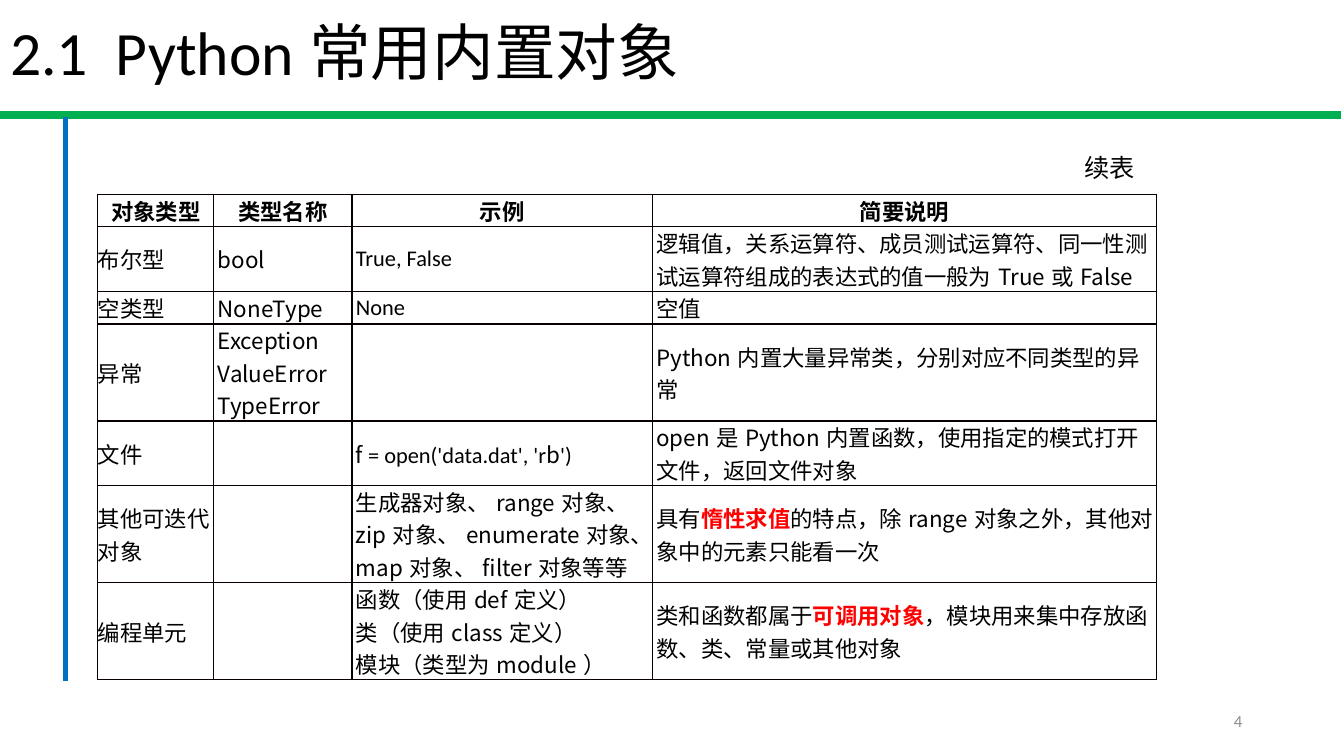
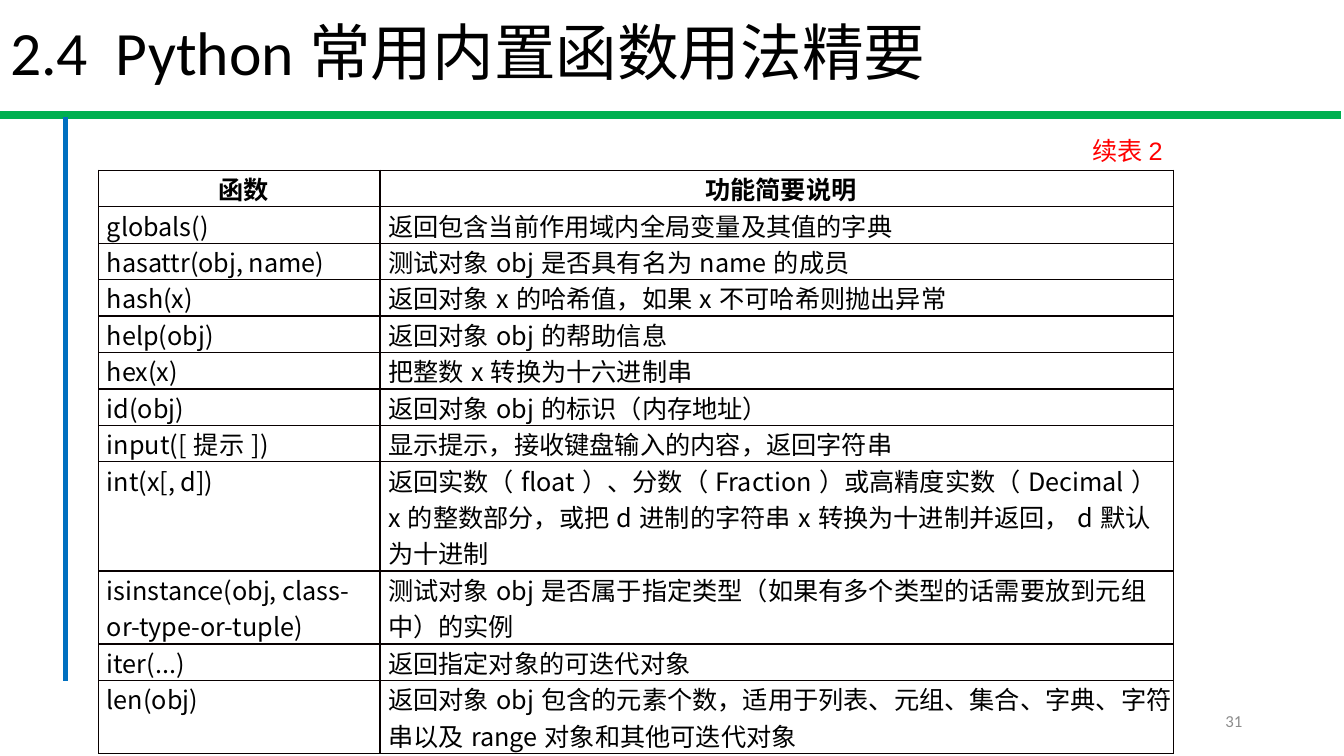
from lxml.etree import SubElement
from pptx import Presentation
from pptx.dml.color import RGBColor
from pptx.enum.shapes import MSO_CONNECTOR
from pptx.enum.text import MSO_ANCHOR, PP_ALIGN
from pptx.oxml.ns import qn
from pptx.util import Inches, Pt

BLACK, RED, GREEN, BLUE, GRAY = "000000", "FF0000", "00B050", "0070C0", "8C8C8C"
BORDER = "080000"
LATIN, CHINESE, CAPTION = "Calibri", "Noto Sans CJK SC", "Arial"


def color(value):
    return RGBColor.from_string(value)


class Lesson:
    def __init__(self):
        self.deck = Presentation()
        self.deck.slide_width, self.deck.slide_height = Inches(13.33), Inches(7.5)
        self.page = None

    def across(self, percent):
        return round(self.deck.slide_width * percent / 100)

    def down(self, percent):
        return round(self.deck.slide_height * percent / 100)

    def area(self, left, top, width, height):
        return self.across(left), self.down(top), self.across(width), self.down(height)

    def start(self, title, number):
        self.page = self.deck.slides.add_slide(self.deck.slide_layouts[5])
        if number == FIRST_NUMBER:
            self.master_line((0, 15.2), (99.77, 15.2), GREEN, 5.25)
            self.master_line((4.88, 15.47), (4.88, 90.13), BLUE, 3.75)
        box = self.page.shapes.title
        box.left, box.top, box.width, box.height = self.area(0, 0, 99.77, 14.67)
        box.text_frame.text = title
        box.text_frame.vertical_anchor = MSO_ANCHOR.MIDDLE
        para = box.text_frame.paragraphs[0]
        para.alignment, para.line_spacing = PP_ALIGN.LEFT, 0.9
        self.style(para.runs[0], 44, LATIN)
        self.label(str(number), (70.67, 92.67, 22.51, 5.33), 12, LATIN, GRAY)

    def master_line(self, start, end, shade, weight):
        line = self.page.shapes.add_connector(
            MSO_CONNECTOR.STRAIGHT,
            self.across(start[0]), self.down(start[1]),
            self.across(end[0]), self.down(end[1]))
        line.line.color.rgb, line.line.width = color(shade), Pt(weight)
        SubElement(line.element.spPr, qn("a:effectLst"))
        self.deck.slide_master.shapes.element.append(line.element)

    def style(self, span, size, font, shade=BLACK, bold=False):
        span.font.size, span.font.name, span.font.bold = Pt(size), font, bold
        span.font.color.rgb = color(shade)
        east = SubElement(span.font._element, qn("a:ea"))
        east.set("typeface", CHINESE)

    def label(self, text, place, size, font, shade):
        box = self.page.shapes.add_textbox(*self.area(*place))
        frame = box.text_frame
        frame.word_wrap = True
        frame.vertical_anchor = MSO_ANCHOR.MIDDLE
        frame.text = text
        frame.paragraphs[0].alignment = PP_ALIGN.RIGHT
        self.style(frame.paragraphs[0].runs[0], size, font, shade)

    def table(self, rows, lines, corner, widths, line_height, size, insets, anchor, accents):
        frame = self.page.shapes.add_table(
            len(rows), len(widths),
            *self.area(*corner, sum(widths), sum(lines) * line_height))
        grid = frame.table
        grid.first_row = grid.horz_banding = False
        for column, width in zip(grid.columns, widths):
            column.width = self.across(width)
        for row, count in zip(grid.rows, lines):
            row.height = self.down(count * line_height)
        for r, texts in enumerate(rows):
            for c, text in enumerate(texts):
                cell = grid.cell(r, c)
                self.border(cell)
                cell.fill.background()
                cell.vertical_anchor = anchor
                cell.margin_left = Inches(insets[c] if r else insets[0])
                cell.margin_right = cell.margin_top = cell.margin_bottom = 0
                self.fill_cell(cell, text, size, r == 0, accents.get(c, {}))

    def fill_cell(self, cell, text, size, header, accent):
        cell.text_frame.text = text.replace("|", "")
        for para, source in zip(cell.text_frame.paragraphs, text.split("\n")):
            para.alignment = PP_ALIGN.CENTER if header else PP_ALIGN.LEFT
            para.text = ""
            for position, part in enumerate(source.split("|")):
                if part:
                    span = para.add_run()
                    span.text = part
                    look = {"font": CHINESE, "bold": header}
                    if position % 2:
                        look.update(accent)
                    self.style(span, size, **look)

    def border(self, cell):
        properties = cell._tc.get_or_add_tcPr()
        for side in ("lnL", "lnR", "lnT", "lnB"):
            edge = SubElement(properties, qn("a:" + side), w=str(Pt(1)))
            fill = SubElement(edge, qn("a:solidFill"))
            SubElement(fill, qn("a:srgbClr"), val=BORDER)


FIRST_NUMBER = 4

OBJECTS = [
    ("对象类型", "类型名称", "示例", "简要说明"),
    ("布尔型", "bool", "|True, False",
     "逻辑值，关系运算符、成员测试运算符、同一性测试运算符组成的表达式的值一般为True或False"),
    ("空类型", "NoneType", "|None", "空值"),
    ("异常", "Exception\nValueError\nTypeError", "",
     "Python内置大量异常类，分别对应不同类型的异常"),
    ("文件", "", "f |= open('data.dat', 'r|b|')",
     "open是Python内置函数，使用指定的模式打开文件，返回文件对象"),
    ("其他可迭代对象", "",
     "生成器对象、range对象、zip对象、enumerate对象、map对象、filter对象等等",
     "具有|惰性求值|的特点，除range对象之外，其他对象中的元素只能看一次"),
    ("编程单元", "",
     "函数（使用def定义）\n类（使用class定义）\n模块（类型为module）",
     "类和函数都属于|可调用对象|，模块用来集中存放函数、类、常量或其他对象"),
]

FUNCTIONS = [
    ("函数", "功能简要说明"),
    ("globals()", "返回包含当前作用域内全局变量及其值的字典"),
    ("hasattr(obj, name)", "测试对象obj是否具有名为name的成员"),
    ("hash(x)", "返回对象x的哈希值，如果x不可哈希则抛出异常"),
    ("help(obj)", "返回对象obj的帮助信息"),
    ("hex(x)", "把整数x转换为十六进制串"),
    ("id(obj)", "返回对象obj的标识（内存地址）"),
    ("input([提示])", "显示提示，接收键盘输入的内容，返回字符串"),
    ("int(x[, d])",
     "返回实数（float）、分数（Fraction）或高精度实数（Decimal）x的整数部分，"
     "或把d进制的字符串x转换为十进制并返回，d默认为十进制"),
    ("isinstance(obj, class-or-type-or-tuple)",
     "测试对象obj是否属于指定类型（如果有多个类型的话需要放到元组中）的实例"),
    ("iter(...)", "返回指定对象的可迭代对象"),
    ("len(obj)",
     "返回对象obj包含的元素个数，适用于列表、元组、集合、字典、字符串以及range对象和其他可迭代对象"),
]

lesson = Lesson()

lesson.start("2.1  Python常用内置对象", FIRST_NUMBER)
lesson.table(OBJECTS, [1, 2, 1, 3, 2, 3, 3], (7.28, 25.73), [8.63, 10.28, 22.36, 37.51],
             4.28, 16, [0, 0.04, 0.04, 0.04], MSO_ANCHOR.MIDDLE,
             {2: {"font": LATIN}, 3: {"shade": RED, "bold": True}})
lesson.label("续表", (67.97, 19.47, 17.18, 5.33), 18, CAPTION, BLACK)

lesson.start("2.4  Python常用内置函数用法精要", 31)
lesson.table(FUNCTIONS, [1] * 8 + [3, 2, 1, 2], (7.35, 22.53), [20.93, 59.04],
             4.82, 18, [0.08, 0.08], MSO_ANCHOR.TOP, {})
lesson.label("续表2", (76.44, 17.2, 10.8, 5.33), 18, CAPTION, RED)

lesson.deck.save("out.pptx")
